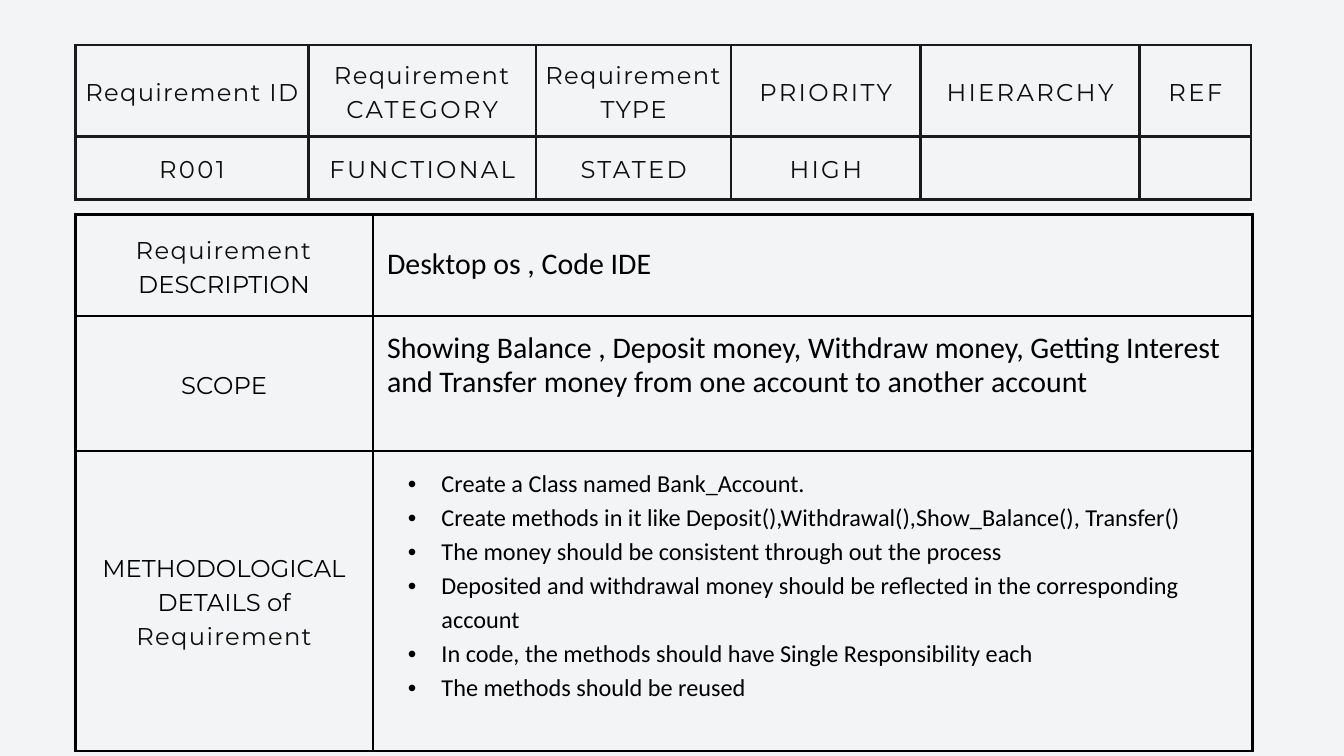
from lxml import etree
from pptx import Presentation, util as u
from pptx.dml.color import RGBColor
from pptx.enum import text
from pptx.oxml.ns import qn

INK, BLACK = "100F0D", "010101"


def rgb(value):
    return RGBColor.from_string(value)


class Deck:
    label_font, body_font = "Montserrat", "Calibri"
    line_spacing = u.Pt(36.4)

    def __init__(self, prs):
        self.prs = prs
        self.s = prs.slides.add_slide(prs.slide_layouts[6])

    def background(self, color):
        fill = self.s.background.fill
        fill.solid()
        fill.fore_color.rgb = rgb(color)

    def table(self, left, top, cols, rows, border, inset):
        frame = self.s.shapes.add_table(
            len(rows), len(cols), u.Inches(left), u.Inches(top),
            u.Inches(sum(cols)), u.Inches(sum(rows)))
        table = frame.table
        table.first_row = table.horz_banding = False
        for col, width in zip(table.columns, cols):
            col.width = u.Inches(width)
        for row, height in zip(table.rows, rows):
            row.height = u.Inches(height)
        for cell in table.iter_cells():
            cell.vertical_anchor = text.MSO_ANCHOR.MIDDLE
            cell.margin_left = cell.margin_right = u.Inches(inset)
            cell.margin_top = cell.margin_bottom = u.Inches(inset)
            self.borders(cell, border)
            cell.fill.background()
        return table

    def borders(self, cell, color):
        tcPr = cell._tc.get_or_add_tcPr()
        for side in ("lnL", "lnR", "lnT", "lnB"):
            ln = etree.SubElement(tcPr, qn("a:" + side), w=str(u.Pt(3)))
            fill = etree.SubElement(ln, qn("a:solidFill"))
            etree.SubElement(fill, qn("a:srgbClr"), val=color)

    def run(self, p, words, font, size, color, spacing=0):
        r = p.add_run()
        r.text = words
        r.font.name, r.font.size = font, u.Pt(size)
        r.font.color.rgb = rgb(color)
        if spacing:
            r._r.get_or_add_rPr().set("spc", str(round(spacing * 100)))

    def label(self, cell, runs):
        """Centred label; each run is (words, colour, letter spacing)."""
        p = cell.text_frame.paragraphs[0]
        p.alignment = text.PP_ALIGN.CENTER
        p.line_spacing = self.line_spacing
        for words, color, spacing in runs:
            self.run(p, words, self.label_font, 26, color, spacing)

    def body(self, cell, lines, size, bullets=False):
        tf = cell.text_frame
        for i, line in enumerate(lines):
            p = tf.add_paragraph() if i else tf.paragraphs[0]
            p.line_spacing = self.line_spacing
            if bullets:
                self.bullet(p)
            self.run(p, line, self.body_font, size, "000000")

    def bullet(self, p):
        p.level = 1
        pPr = p._p.get_or_add_pPr()
        pPr.set("marL", str(u.Inches(0.81)))
        pPr.set("indent", str(u.Inches(-0.5)))
        etree.SubElement(pPr, qn("a:buFont"), typeface="Arial")
        etree.SubElement(pPr, qn("a:buChar"), char="•")


def main():
    prs = Presentation()
    prs.slide_width, prs.slide_height = u.Inches(20), u.Inches(11.25)
    deck = Deck(prs)
    deck.background("F2F4F5")

    # Requirement summary: (words, letter spacing) per run
    summary = [
        [[("Requirement ID", 1.4)],
         [("Requirement ", 1.4), ("CATEGORY", 2.5)],
         [("Requirement TYPE", 1.4)],
         [("PRIORITY", 2.5)], [("HIERARCHY", 2.5)], [("REF", 2.5)]],
        [[(words, 2.5)] for words in ("R001", "FUNCTIONAL", "STATED", "HIGH")],
    ]
    table = deck.table(1.12, 0.67, [3.47, 3.39, 2.9, 2.82, 3.26, 1.66],
                       [1.36, 0.94], "1A1A1A", 0.12)
    for i, row in enumerate(summary):
        for j, runs in enumerate(row):
            deck.label(table.cell(i, j), [(w, INK, spc) for w, spc in runs])

    # Requirement details: label runs, body lines, size, bullets, bottom inset
    details = [
        ([("Requirement ", INK, 1.4), ("DESCRIPTION", BLACK, 0)],
         ["Desktop os , Code IDE"], 32, False, 0.21),
        ([("SCOPE", BLACK, 0)],
         ["Showing Balance , Deposit money, Withdraw money, Getting Interest "
          "and Transfer money from one account to another account"],
         32, False, 0.72),
        ([("METHODOLOGICAL DETAILS of ", BLACK, 0), ("Requirement", INK, 1.4)],
         ["Create a Class named Bank_Account.",
          "Create methods in it like "
          "Deposit(),Withdrawal(),Show_Balance(), Transfer()",
          "The money should be consistent through out the process",
          "Deposited and withdrawal money should be reflected in the "
          "corresponding account",
          "In code, the methods should have Single Responsibility each",
          "The methods should be reused"], 26, True, 0.72),
    ]
    table = deck.table(1.12, 3.19, [4.43, 13.09], [1.51, 2.01, 4.33],
                       "000000", 0.21)
    for i, (runs, lines, size, bullets, bottom) in enumerate(details):
        deck.label(table.cell(i, 0), runs)
        deck.body(table.cell(i, 1), lines, size, bullets)
        table.cell(i, 1).margin_bottom = u.Inches(bottom)

    prs.save("out.pptx")


if __name__ == "__main__":
    main()
